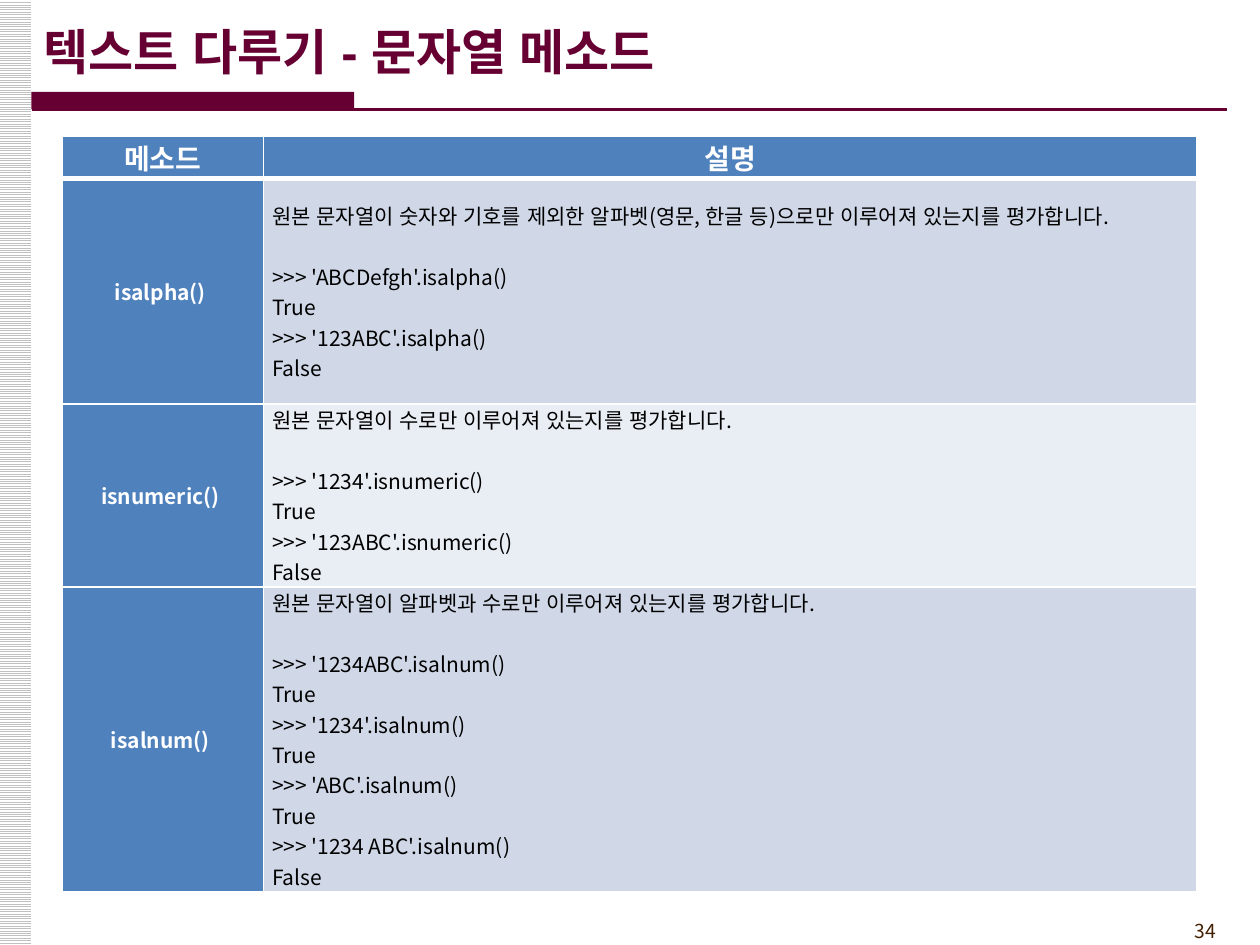
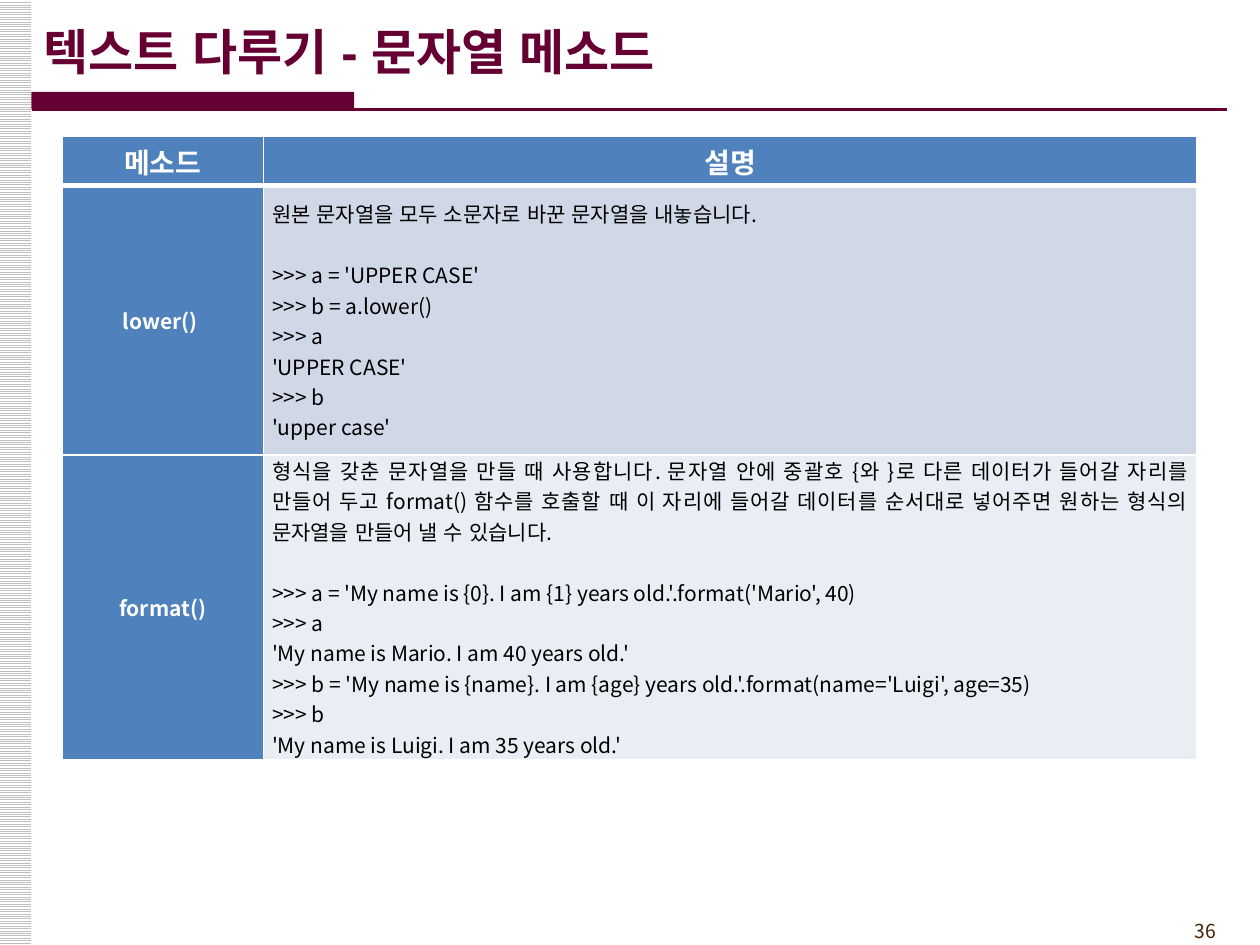
from lxml.etree import SubElement
from pptx import Presentation
from pptx.dml.color import RGBColor
from pptx.enum.dml import MSO_PATTERN
from pptx.enum.lang import MSO_LANGUAGE_ID
from pptx.enum.shapes import MSO_CONNECTOR, MSO_SHAPE
from pptx.enum.text import MSO_ANCHOR, PP_ALIGN
from pptx.oxml.ns import qn
from pptx.util import Pt

COLORS = {
    "wine": "660033",
    "brown": "452103",
    "stripe": "C0C0C0",
    "white": "FFFFFF",
    "black": "000000",
    "blue": "4F81BD",
    "band_dark": "D0D8E8",
    "band_light": "E9EDF4",
}
KOREAN_FONT = "Noto Sans CJK KR"
STYLES = {
    "title": ("wine", {"name": "Arial", "size": Pt(28), "bold": True}),
    "number": ("brown", {"name": KOREAN_FONT, "size": Pt(11), "bold": False}),
    "heading": ("white", {"name": KOREAN_FONT, "size": Pt(16), "bold": True}),
    "method": ("white", {"name": KOREAN_FONT, "size": Pt(12), "bold": True}),
    "body": ("black", {"name": KOREAN_FONT, "size": Pt(12), "bold": False}),
}
LINE_PITCH = 17.4
TITLE = "텍스트 다루기 - 문자열 메소드"
HEADINGS = ("메소드", "설명")
COLUMN_WIDTHS = (115, 533.5)

PAGES = [
    ("34", 24, [
        ("isalpha() ", 129, [
            "원본 문자열이 숫자와 기호를 제외한 알파벳(영문, 한글 등)으로만 이루어져 있는지를 평가합니다.",
            ">>> 'ABCDefgh'.isalpha()",
            "True",
            ">>> '123ABC'.isalpha()",
            "False",
        ]),
        ("isnumeric() ", 104.4, [
            "원본 문자열이 수로만 이루어져 있는지를 평가합니다.",
            ">>> '1234'.isnumeric()",
            "True",
            ">>> '123ABC'.isnumeric()",
            "False",
        ]),
        ("isalnum() ", 174, [
            "원본 문자열이 알파벳과 수로만 이루어져 있는지를 평가합니다.",
            ">>> '1234ABC'.isalnum()",
            "True",
            ">>> '1234'.isalnum()",
            "True",
            ">>> 'ABC'.isalnum()",
            "True",
            ">>> '1234 ABC'.isalnum()",
            "False",
        ]),
    ]),
    ("36", 28, [
        ("lower() ", 154, [
            "원본 문자열을 모두 소문자로 바꾼 문자열을 내놓습니다.",
            ">>> a = 'UPPER CASE'",
            ">>> b = a.lower()",
            ">>> a",
            "'UPPER CASE'",
            ">>> b",
            "'upper case'",
        ]),
        ("format()", 174, [
            "형식을 갖춘 문자열을 만들 때 사용합니다. 문자열 안에 중괄호 {와 }로 다른 데이터가 "
            "들어갈 자리를 만들어 두고 format() 함수를 호출할 때 이 자리에 들어갈 데이터를 "
            "순서대로 넣어주면 원하는 형식의 문자열을 만들어 낼 수 있습니다.",
            ">>> a = 'My name is {0}. I am {1} years old.'.format('Mario', 40)",
            ">>> a",
            "'My name is Mario. I am 40 years old.'",
            ">>> b = 'My name is {name}. I am {age} years old.'.format(name='Luigi', age=35)",
            ">>> b",
            "'My name is Luigi. I am 35 years old.'",
        ]),
    ]),
]


def rgb(color):
    return RGBColor.from_string(COLORS[color])


def write(paragraph, text, style, align):
    color, values = STYLES[style]
    paragraph.alignment = align
    run = paragraph.add_run()
    run.text = text
    for attribute, value in values.items():
        setattr(run.font, attribute, value)
    run.font.color.rgb = rgb(color)
    run.font.language_id = MSO_LANGUAGE_ID.KOREAN
    SubElement(run.font._element, qn("a:ea"), typeface=KOREAN_FONT)


def add_label(slide, box, text, style, align, anchor):
    frame = slide.shapes.add_textbox(*map(Pt, box)).text_frame
    frame.word_wrap = True
    frame.vertical_anchor = anchor
    write(frame.paragraphs[0], text, style, align)


def add_side_stripe(slide, box):
    stripe = slide.shapes.add_shape(MSO_SHAPE.RECTANGLE, *map(Pt, box))
    stripe.shadow.inherit = False
    stripe.fill.patterned()
    stripe.fill.pattern = MSO_PATTERN.LIGHT_HORIZONTAL
    stripe.fill.fore_color.rgb = rgb("stripe")
    stripe.fill.back_color.rgb = rgb("white")
    stripe.line.fill.background()


def add_title_rule(slide, box):
    left, top, width, height = box
    accent = slide.shapes.add_shape(
        MSO_SHAPE.RECTANGLE, Pt(left), Pt(top), Pt(width * 0.27), Pt(height))
    accent.shadow.inherit = False
    accent.fill.solid()
    accent.fill.fore_color.rgb = rgb("wine")
    accent.line.fill.background()
    bottom = Pt(top + height)
    rule = slide.shapes.add_connector(
        MSO_CONNECTOR.STRAIGHT, Pt(left), bottom, Pt(left + width), bottom)
    rule.line.color.rgb = rgb("wine")
    rule.line.width = Pt(1.5)
    SubElement(rule._element.spPr, qn("a:effectLst"))


def format_cell(cell, fill, margin, bottom_border=1):
    properties = cell._tc.get_or_add_tcPr()
    for side, width in (("L", 1), ("R", 1), ("T", 1), ("B", bottom_border)):
        border = SubElement(properties, qn(f"a:ln{side}"), w=str(Pt(width)))
        solid = SubElement(border, qn("a:solidFill"))
        SubElement(solid, qn("a:srgbClr"), val=COLORS["white"])
    values = {
        "vertical_anchor": MSO_ANCHOR.MIDDLE,
        "margin_left": Pt(margin),
        "margin_right": Pt(margin),
        "margin_top": 0,
        "margin_bottom": 0,
    }
    for attribute, value in values.items():
        setattr(cell, attribute, value)
    cell.fill.solid()
    cell.fill.fore_color.rgb = rgb(fill)


def fill_description(cell, summary, session):
    frame = cell.text_frame
    write(frame.paragraphs[0], summary, "body", PP_ALIGN.JUSTIFY)
    frame.paragraphs[0].space_after = Pt(LINE_PITCH)
    for line in session:
        write(frame.add_paragraph(), line, "body", PP_ALIGN.JUSTIFY)


def add_method_table(slide, left, top, heading_height, methods):
    heights = [heading_height] + [height for _, height, _ in methods]
    table = slide.shapes.add_table(
        len(heights), len(COLUMN_WIDTHS), Pt(left), Pt(top),
        Pt(sum(COLUMN_WIDTHS)), Pt(sum(heights))).table
    table.first_row = table.horz_banding = False
    for column, width in zip(table.columns, COLUMN_WIDTHS):
        column.width = Pt(width)
    for row, height in zip(table.rows, heights):
        row.height = Pt(height)
    for cell, heading in zip(table.rows[0].cells, HEADINGS):
        format_cell(cell, "blue", 4.5, bottom_border=3)
        write(cell.text_frame.paragraphs[0], heading, "heading", PP_ALIGN.CENTER)
    for index, (method, _, (summary, *session)) in enumerate(methods, 1):
        name, description = table.rows[index].cells
        format_cell(name, "blue", 5)
        write(name.text_frame.paragraphs[0], method, "method", PP_ALIGN.CENTER)
        format_cell(description, "band_dark" if index % 2 else "band_light", 5)
        fill_description(description, summary, session)


def add_method_slide(deck, number, heading_height, methods):
    slide = deck.slides.add_slide(deck.slide_layouts[6])
    add_side_stripe(slide, (-0.75, 0, 18.75, 540))
    add_label(slide, (642.5, 522, 59.5, 21), number, "number",
              PP_ALIGN.RIGHT, MSO_ANCHOR.TOP)
    add_title_rule(slide, (18, 52.5, 683.25, 10))
    add_label(slide, (18, 6.5, 595.5, 45.5), TITLE, "title",
              PP_ALIGN.LEFT, MSO_ANCHOR.MIDDLE)
    add_method_table(slide, 35.5, 78, heading_height, methods)


def main():
    deck = Presentation()
    deck.slide_width, deck.slide_height = Pt(720), Pt(540)
    for page in PAGES:
        add_method_slide(deck, *page)
    deck.save("out.pptx")


if __name__ == "__main__":
    main()
